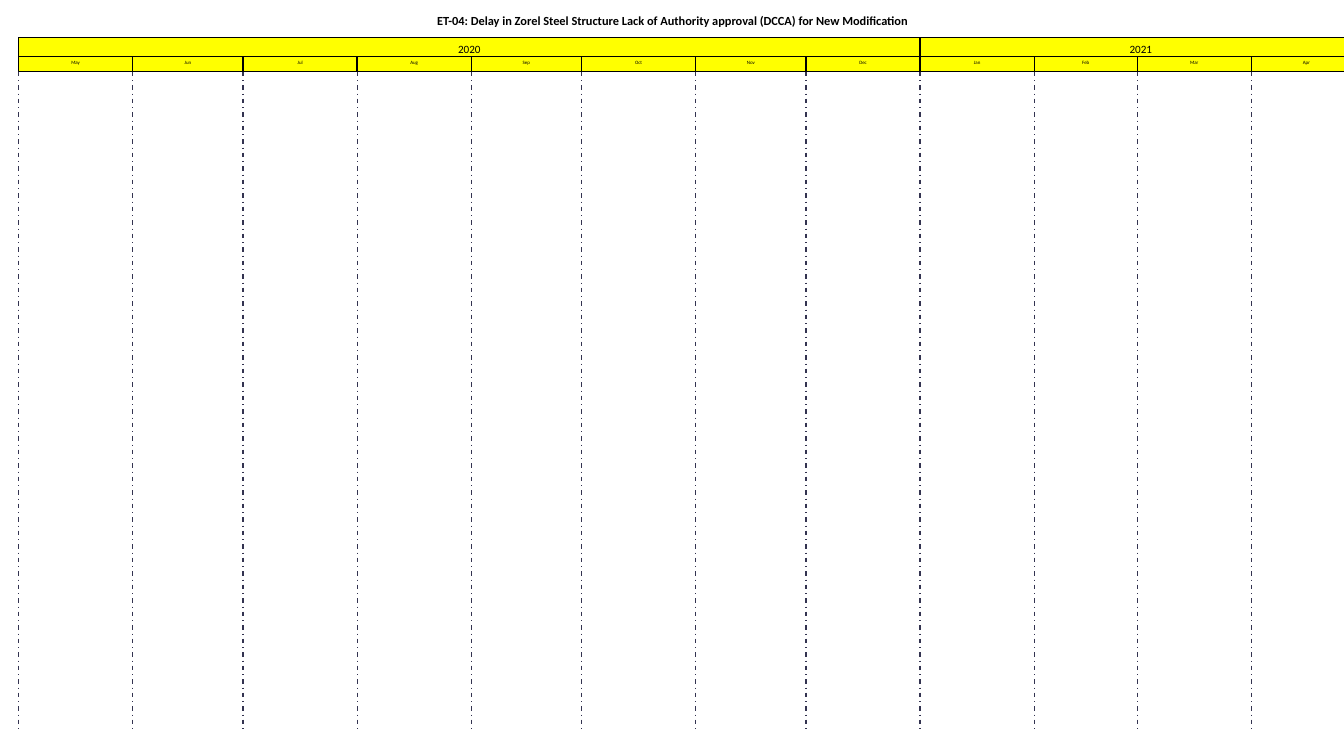
from pptx import Presentation
from pptx.dml.color import RGBColor
from pptx.enum.dml import MSO_LINE
from pptx.enum.shapes import MSO_CONNECTOR, MSO_SHAPE
from pptx.enum.text import MSO_ANCHOR, MSO_AUTO_SIZE, PP_ALIGN
from pptx.oxml.ns import qn
from pptx.util import Cm, Pt
from lxml import etree

RECT = MSO_SHAPE.RECTANGLE
STRAIGHT = MSO_CONNECTOR.STRAIGHT
DASH_DOT = MSO_LINE.DASH_DOT
TOP = MSO_ANCHOR.TOP
GROW = MSO_AUTO_SIZE.SHAPE_TO_FIT_TEXT
CENTER = PP_ALIGN.CENTER

YELLOW, BLACK, WHITE, NAVY = "FFFF00", "000000", "FFFFFF", "333350"

# Timeline: column widths follow the days in each month (cm)
LEFT = 0.53
DAY = 0.105
YEAR_TOP, YEAR_H = 1.07, 0.54
MONTH_TOP, MONTH_H = 1.62, 0.42
GRID_TOP, GRID_BOTTOM = 2.04, 20.9
YEARS = [
    ("2020", [("May", 31), ("Jun", 30), ("Jul", 31), ("Aug", 31),
              ("Sep", 30), ("Oct", 31), ("Nov", 30), ("Dec", 31)]),
    ("2021", [("Jan", 31), ("Feb", 28), ("Mar", 31), ("Apr", 30)]),
]


def rgb(value):
    return RGBColor.from_string(value)


def add_box(s, x, y, w, h, text, size, fill=YELLOW, line=BLACK,
            line_width=1, bold=False, side_inset=0.25):
    sp = s.shapes.add_shape(RECT, Cm(x), Cm(y), Cm(w), Cm(h))
    sp.shadow.inherit = False
    if fill:
        sp.fill.solid()
        sp.fill.fore_color.rgb = rgb(fill)
    else:
        sp.fill.background()
    sp.line.color.rgb = rgb(line)
    sp.line.width = Pt(line_width)

    tf = sp.text_frame
    tf.word_wrap = True
    tf.auto_size = GROW
    tf.vertical_anchor = TOP
    tf.margin_left = tf.margin_right = Cm(side_inset)
    tf.margin_top = tf.margin_bottom = Cm(0.13)
    p = tf.paragraphs[0]
    p.alignment = CENTER
    r = p.add_run()
    r.text = text
    r.font.name = "Calibri"
    r.font.size = Pt(size)
    r.font.bold = bold
    r.font.color.rgb = rgb(BLACK)


def add_gridline(s, x):
    line = s.shapes.add_connector(STRAIGHT, Cm(x), Cm(GRID_TOP),
                                  Cm(x), Cm(GRID_BOTTOM))
    line.line.color.rgb = rgb(NAVY)
    line.line.width = Pt(1)
    line.line.dash_style = DASH_DOT
    etree.SubElement(line._element.spPr, qn("a:effectLst"))


def add_month(s, x, name, width):
    add_gridline(s, x)
    add_box(s, x, MONTH_TOP, width, MONTH_H, name, 4, side_inset=0)


def main():
    prs = Presentation()
    prs.slide_width, prs.slide_height = Cm(38.35), Cm(21.16)
    s = prs.slides.add_slide(prs.slide_layouts[6])

    # Title
    add_box(s, LEFT, 0.25, 37.31, 0.79,
            "ET-04: Delay in Zorel Steel Structure Lack of Authority approval "
            "(DCCA) for New Modification",
            10, fill=None, line=WHITE, line_width=0, bold=True)

    # Year bands
    x = LEFT
    for year, months in YEARS:
        width = DAY * sum(days for _, days in months)
        add_box(s, x, YEAR_TOP, width, YEAR_H, year, 9)
        x += width

    # Month headers and gridlines
    x = LEFT
    for _, months in YEARS:
        for name, days in months:
            add_month(s, x, name, DAY * days)
            x += DAY * days

    prs.save("out.pptx")


if __name__ == "__main__":
    main()
